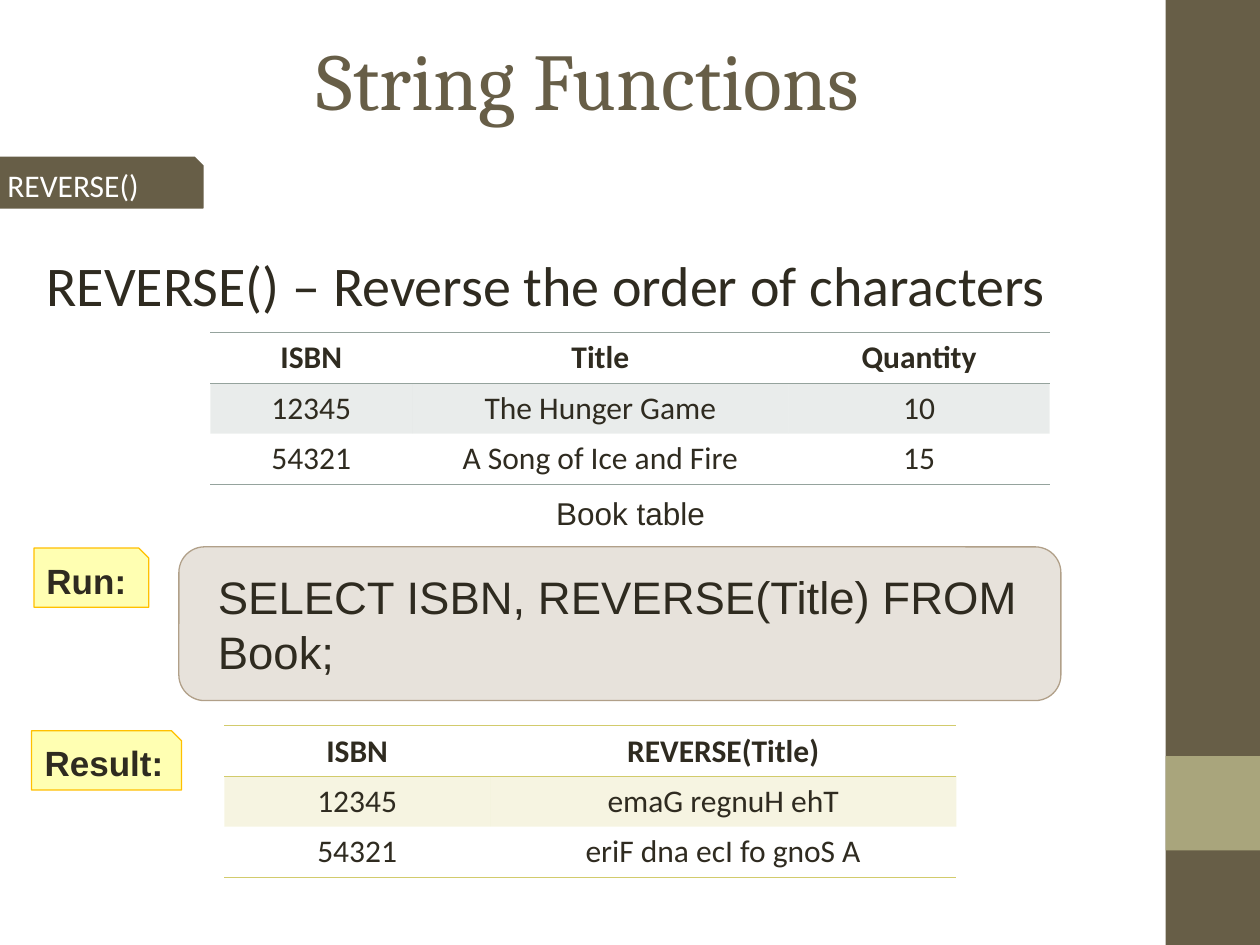
from dataclasses import dataclass
from lxml import etree
from pptx import Presentation
from pptx.dml.color import RGBColor
from pptx.enum.shapes import MSO_SHAPE
from pptx.enum.text import MSO_ANCHOR, PP_ALIGN
from pptx.oxml.ns import qn
from pptx.util import Inches, Pt

RECT = MSO_SHAPE.RECTANGLE
ROUND = MSO_SHAPE.ROUNDED_RECTANGLE
SNIP = MSO_SHAPE.SNIP_1_RECTANGLE
LEFT, CENTER = PP_ALIGN.LEFT, PP_ALIGN.CENTER
TOP, MIDDLE = MSO_ANCHOR.TOP, MSO_ANCHOR.MIDDLE


@dataclass(frozen=True)
class Theme:
    brown: str = "675E47"
    olive: str = "A9A57C"
    ink: str = "2F2B20"
    white: str = "FFFFFF"
    sand: str = "B1A089"
    yellow: str = "FFFF00"
    amber: str = "FFC000"
    gray: str = "95A39D"
    gold: str = "D2CB6C"
    serif: str = "Cambria"
    sans: str = "Calibri"
    plain: str = "Arial"
    title: int = 46
    lead: int = 32
    query: int = 26
    label: int = 20
    small: int = 18


theme = Theme()


def write(frame, text, size, face, color, align=LEFT, bold=False, anchor=TOP):
    frame.word_wrap = True
    frame.vertical_anchor = anchor
    line = frame.paragraphs[0]
    line.alignment = align
    run = line.add_run()
    run.text = text
    run.font.size = Pt(size)
    run.font.name = face
    run.font.bold = bold
    run.font.color.rgb = RGBColor.from_string(color)


def paint(fill, owner, color, alpha=100):
    fill.solid()
    fill.fore_color.rgb = RGBColor.from_string(color)
    if alpha < 100:
        tint = owner.find(qn("a:solidFill")).find(qn("a:srgbClr"))
        etree.SubElement(tint, qn("a:alpha")).set("val", str(alpha * 1000))


deck = Presentation()
deck.slide_width = Inches(10)
deck.slide_height = Inches(7.5)
slide = deck.slides.add_slide(deck.slide_layouts[5])
shapes = slide.shapes

title = shapes.title
title.left, title.top = Inches(0.5), Inches(0)
title.width, title.height = Inches(8.33), Inches(1.25)
write(title.text_frame, "String Functions", theme.title, theme.serif,
      theme.brown, CENTER, anchor=MIDDLE)

panels = [
    (RECT, (9.25, 0, 0.75, 7.5), theme.brown, 100, None, 0, None),
    (RECT, (9.25, 6, 0.75, 0.75), theme.olive, 100, None, 0, None),
    (SNIP, (-0.04, 1.25, 1.65, 0.4), theme.brown, 100, theme.brown, 1,
     ("REVERSE()", theme.small, theme.sans, theme.white)),
    (ROUND, (1.42, 4.34, 7, 1.22), theme.sand, 30, theme.sand, 0.75,
     ("SELECT ISBN, REVERSE(Title) FROM Book;", theme.query, theme.plain,
      theme.ink)),
    (SNIP, (0.27, 4.35, 0.91, 0.47), theme.yellow, 30, theme.amber, 0.75,
     ("Run:", theme.label, theme.plain, theme.ink, LEFT, True)),
    (SNIP, (0.25, 5.8, 1.19, 0.47), theme.yellow, 30, theme.amber, 0.75,
     ("Result:", theme.label, theme.plain, theme.ink, CENTER, True)),
]
for kind, place, color, alpha, edge, weight, words in panels:
    panel = shapes.add_shape(kind, *map(Inches, place))
    panel.shadow.inherit = False
    paint(panel.fill, panel.element.spPr, color, alpha)
    if edge:
        panel.line.color.rgb = RGBColor.from_string(edge)
        panel.line.width = Pt(weight)
    else:
        panel.line.fill.background()
    if words:
        write(panel.text_frame, *words, anchor=MIDDLE)
    if kind == ROUND:
        panel.text_frame.margin_left = Inches(0.25)

notes = [
    ((0.27, 1.94, 9.47, 1.18), "REVERSE() – Reverse the order of characters",
     theme.lead, theme.sans, LEFT),
    ((3.9, 3.87, 2.21, 0.4), "Book table", theme.small, theme.plain, CENTER),
]
for place, text, size, face, align in notes:
    box = shapes.add_textbox(*map(Inches, place))
    write(box.text_frame, text, size, face, theme.ink, align)

tables = [
    ((1.67, 2.64), (1.6, 2.99, 2.07), theme.gray, [
        ("ISBN", "Title", "Quantity"),
        ("12345", "The Hunger Game", "10"),
        ("54321", "A Song of Ice and Fire", "15"),
    ]),
    ((1.78, 5.76), (2.11, 3.7), theme.gold, [
        ("ISBN", "REVERSE(Title)"),
        ("12345", "emaG regnuH ehT"),
        ("54321", "eriF dna ecI fo gnoS A"),
    ]),
]
for (left, top), widths, color, rows in tables:
    grid = shapes.add_table(
        len(rows), len(widths), Inches(left), Inches(top),
        Inches(sum(widths)), Inches(0.4 * len(rows))).table
    grid.horz_banding = False
    grid.first_row = False
    for column, width in zip(grid.columns, widths):
        column.width = Inches(width)
    ruled = {0, 1, len(rows)}
    for r, row in enumerate(rows):
        for c, text in enumerate(row):
            cell = grid.cell(r, c)
            props = cell._tc.get_or_add_tcPr()
            sides = {"L": False, "R": False, "T": r in ruled, "B": r + 1 in ruled}
            for side, shown in sides.items():
                edge = etree.SubElement(props, qn("a:ln" + side))
                if shown:
                    edge.set("w", str(Pt(0.45)))
                    solid = etree.SubElement(edge, qn("a:solidFill"))
                    etree.SubElement(solid, qn("a:srgbClr")).set("val", color)
                else:
                    etree.SubElement(edge, qn("a:noFill"))
            if r == 1:
                paint(cell.fill, props, color, 20)
            else:
                cell.fill.background()
            write(cell.text_frame, text, theme.small, theme.sans, theme.ink,
                  CENTER, r == 0)

deck.save("out.pptx")
